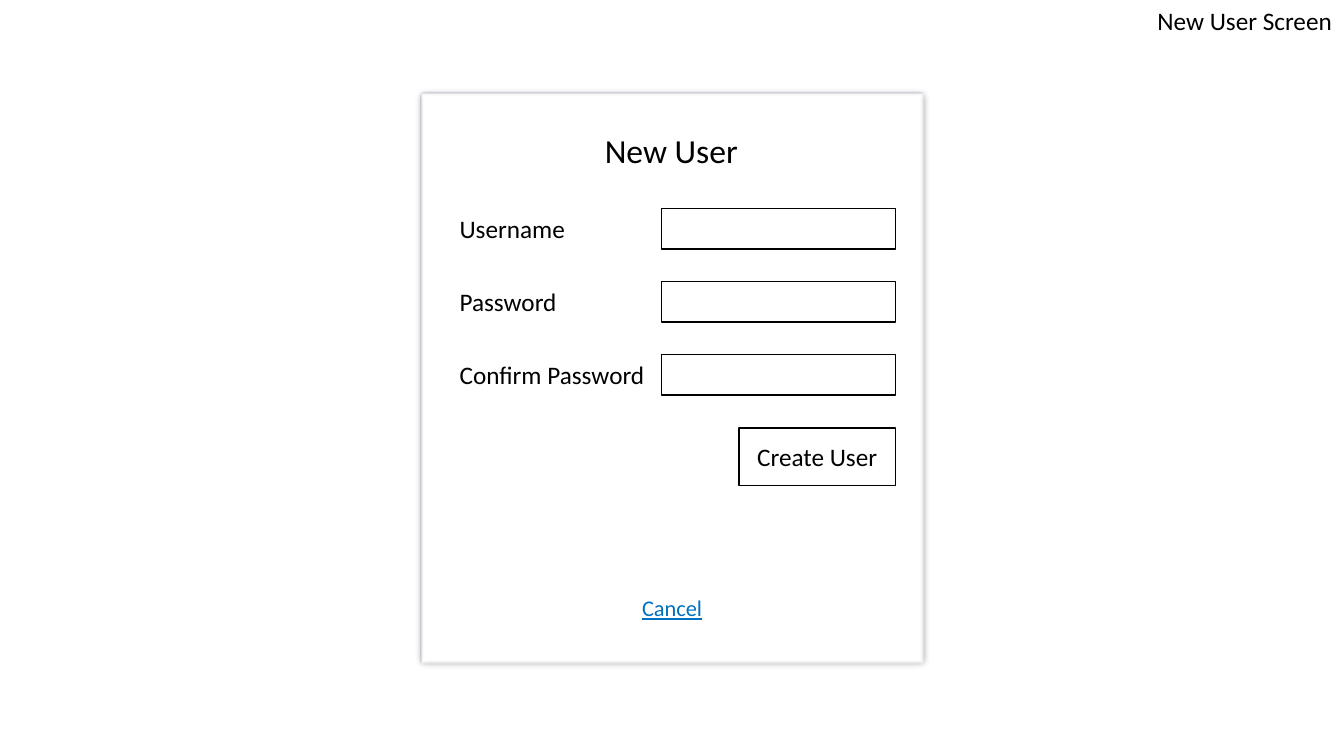
import pptx
import pptx.util
import pptx.dml.color
import pptx.enum.shapes
import pptx.enum.text
import pptx.oxml
import pptx.oxml.ns

Inches = pptx.util.Inches
Anchor = pptx.enum.text.MSO_ANCHOR
Align = pptx.enum.text.PP_ALIGN
AutoSize = pptx.enum.text.MSO_AUTO_SIZE
COLORS = {"paper": "FFFFFF", "ink": "000000", "panel_edge": "325491", "link": "0070C0"}


def write(box, text, size=18, color="ink", underline=None, align=Align.LEFT, anchor=Anchor.TOP, wrap=False):
    frame = box.text_frame
    frame_format = {"word_wrap": wrap, "auto_size": AutoSize.NONE, "vertical_anchor": anchor}
    for name, value in frame_format.items():
        setattr(frame, name, value)
    para = frame.paragraphs[0]
    para.alignment = align
    span = para.add_run()
    span.text = text
    font_format = {"name": "Calibri", "size": pptx.util.Pt(size), "underline": underline, "bold": False}
    for name, value in font_format.items():
        setattr(span.font, name, value)
    span.font.color.rgb = pptx.dml.color.RGBColor.from_string(COLORS[color])


def add_rectangle(left, top, width, height, edge="ink"):
    box = page.shapes.add_shape(
        pptx.enum.shapes.MSO_SHAPE.RECTANGLE, Inches(left), Inches(top), Inches(width), Inches(height)
    )
    box.shadow.inherit = False
    box.fill.solid()
    box.fill.fore_color.rgb = pptx.dml.color.RGBColor.from_string(COLORS["paper"])
    box.line.color.rgb = pptx.dml.color.RGBColor.from_string(COLORS[edge])
    box.line.width = pptx.util.Pt(1)
    return box


deck = pptx.Presentation()
deck.slide_width = Inches(13.33)
deck.slide_height = Inches(7.5)
page = deck.slides.add_slide(deck.slide_layouts[5])

title = page.shapes.title
title_place = {"left": 11.38, "top": 0, "width": 1.95, "height": 0.4}
for name, value in title_place.items():
    setattr(title, name, Inches(value))
write(title, "New User Screen")

panel = add_rectangle(4.17, 0.92, 5, 5.67, "panel_edge")
effects = panel._element.spPr.find(pptx.oxml.ns.qn("a:effectLst"))
namespace = pptx.oxml.ns.nsdecls("a")
effects.append(pptx.oxml.parse_xml(
    f'<a:outerShdw {namespace} blurRad="63500" dist="0" dir="0" algn="ctr" rotWithShape="0">'
    f'<a:srgbClr val="{COLORS["ink"]}"><a:alpha val="40000"/></a:srgbClr></a:outerShdw>'
))
effects.append(pptx.oxml.parse_xml(f'<a:softEdge {namespace} rad="12700"/>'))

field_right = 8.88
field_width = 2.32
row_height = 0.4
first_row = 2.07
row_step = 0.725
labels = [("Username", 1.26), ("Password", 1.17), ("Confirm Password", 2.05)]
for row, (label, label_width) in enumerate(labels):
    top = first_row + row * row_step
    label_box = page.shapes.add_textbox(Inches(4.46), Inches(top), Inches(label_width), Inches(row_height))
    write(label_box, label)
    add_rectangle(field_right - field_width, top, field_width, row_height)

button_width = 1.55
button_top = first_row + len(labels) * row_step
button = add_rectangle(field_right - button_width, button_top, button_width, 0.57)
write(button, "Create User", align=Align.CENTER, anchor=Anchor.MIDDLE, wrap=True)

heading = page.shapes.add_textbox(Inches(5.9), Inches(1.24), Inches(1.53), Inches(0.5))
write(heading, "New User", size=24)

cancel = page.shapes.add_textbox(Inches(6.27), Inches(5.85), Inches(0.8), Inches(0.37))
write(cancel, "Cancel", size=16, color="link", underline=True)

deck.save("out.pptx")
